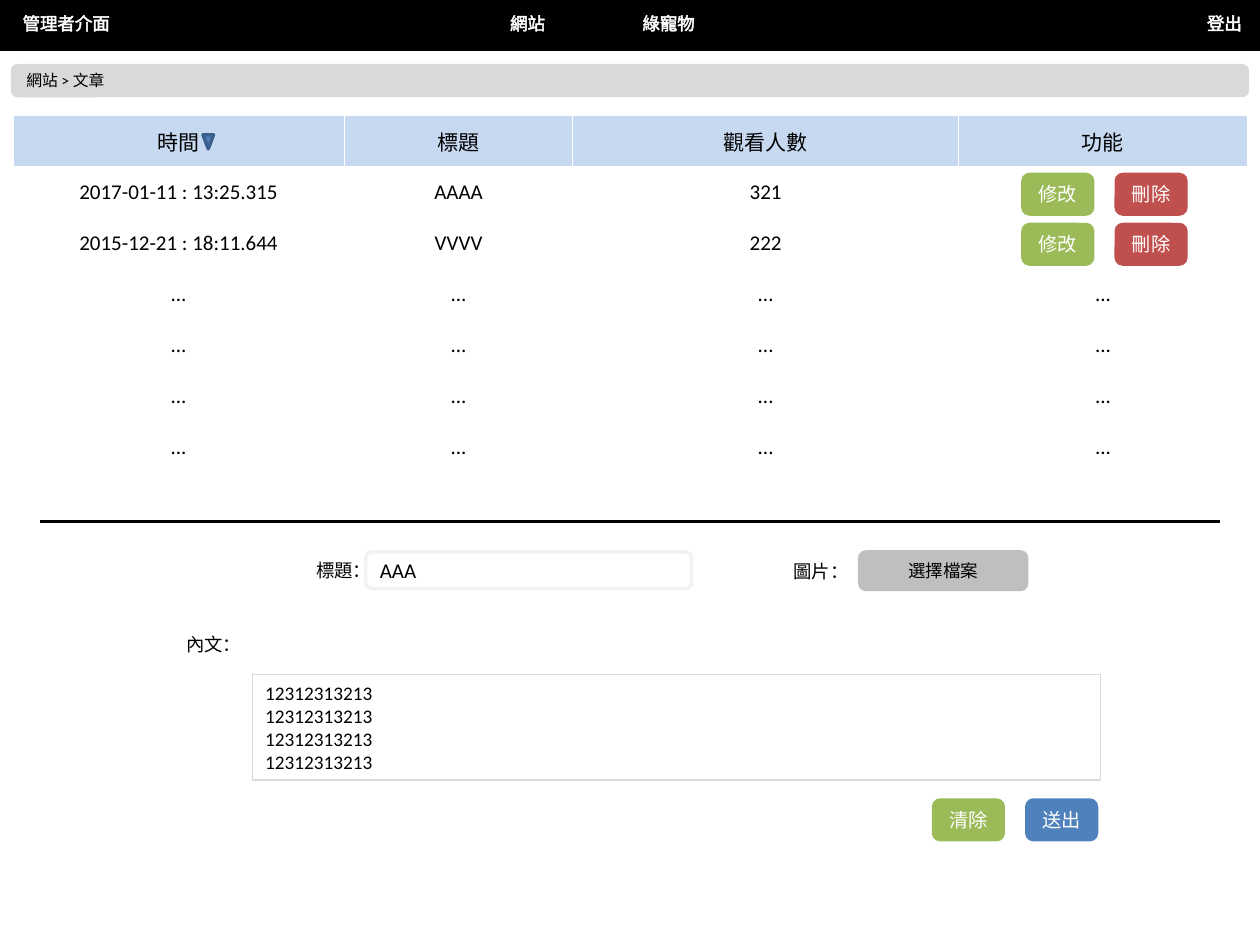
"""Build the article administration page with its list and entry form."""
from lxml import etree
from pptx import Presentation
from pptx.dml.color import RGBColor
from pptx.enum.shapes import MSO_CONNECTOR, MSO_SHAPE
from pptx.enum.text import MSO_ANCHOR, PP_ALIGN
from pptx.oxml.ns import qn
from pptx.util import Pt

RECT, ROUND, TRIANGLE = MSO_SHAPE.RECTANGLE, MSO_SHAPE.ROUNDED_RECTANGLE, MSO_SHAPE.ISOSCELES_TRIANGLE
LEFT, CENTER = PP_ALIGN.LEFT, PP_ALIGN.CENTER
TOP, MIDDLE = MSO_ANCHOR.TOP, MSO_ANCHOR.MIDDLE
THEME = {
    "font": "Calibri", "black": "000000", "white": "FFFFFF", "heading": "C6D9F1",
    "green": "9BBB59", "red": "C0504D", "blue": "4F81BD", "dark blue": "3A5F8C",
    "crumb": "D9D9D9", "file": "BFBFBF", "edge": "F2F2F2",
    "crumb size": 9, "menu size": 10, "label size": 10.5, "button size": 11, "table size": 12,
}


def color(name):
    return RGBColor.from_string(THEME[name])


def write(frame, lines, size, ink="black", align=LEFT, anchor=MIDDLE):
    frame.word_wrap = True
    frame.vertical_anchor = anchor
    for index, line in enumerate(lines):
        para = frame.add_paragraph() if index else frame.paragraphs[0]
        para.alignment = align
        span = para.add_run()
        span.text = line
        span.font.name = THEME["font"]
        span.font.size = Pt(THEME[size])
        span.font.color.rgb = color(ink)


deck = Presentation()
deck.slide_width, deck.slide_height = Pt(720), Pt(540)
page = deck.slides.add_slide(deck.slide_layouts[6])

columns = [189.5, 130.5, 220.5, 165]
rows = [
    ["時間", "標題", "觀看人數", "功能"],
    ["2017-01-11 : 13:25.315", "AAAA", "321", ""],
    ["2015-12-21 : 18:11.644", "VVVV", "222", ""],
] + [["..."] * 4] * 4
table = page.shapes.add_table(len(rows), 4, Pt(7.3), Pt(66), Pt(705.5), Pt(204.4)).table
table.first_row = table.horz_banding = False
for column, width in zip(table.columns, columns):
    column.width = Pt(width)
for row_index, row in enumerate(rows):
    table.rows[row_index].height = Pt(29.2)
    for column_index, text in enumerate(row):
        cell = table.cell(row_index, column_index)
        cell.vertical_anchor = MIDDLE
        if row_index:
            cell.fill.background()
        else:
            cell.fill.solid()
            cell.fill.fore_color.rgb = color("heading")
        if text:
            write(cell.text_frame, [text], "table size", align=CENTER)

divider = page.shapes.add_connector(MSO_CONNECTOR.STRAIGHT, Pt(23), Pt(298), Pt(697), Pt(298))
divider.line.color.rgb = color("black")
divider.line.width = Pt(2.25)
etree.SubElement(divider._element.spPr, qn("a:effectLst"))

labels = [("圖片：", 446.4, 316.8, LEFT), ("內文：", 99.4, 358.4, LEFT), ("標題：", 168.5, 316, CENTER)]
for text, left, top, align in labels:
    box = page.shapes.add_textbox(Pt(left), Pt(top), Pt(45.4), Pt(20))
    write(box.text_frame, [text], "label size", align=align, anchor=TOP)

buttons = [("清除", 533.5, 457.2, "green"), ("送出", 586.8, 457.2, "blue")]
for top in (99.7, 128.3):
    buttons += [("修改", 584.6, top, "green"), ("刪除", 637.9, top, "red")]
shapes = [
    (RECT, 0, 0, 720, 28.1, "black", "black", 2, [], "menu size", "black", LEFT),
    (ROUND, 7.2, 37.6, 705.6, 17, "crumb", "crumb", 2, ["網站 > 文章"], "crumb size", "black", LEFT),
    (ROUND, 491.3, 315.4, 95.4, 21.4, "file", "file", 2, ["選擇檔案"], "menu size", "black", CENTER),
    (RECT, 144.4, 385.3, 484.6, 60.5, "white", "crumb", 0.75, ["12312313213"] * 4, "button size", "black", LEFT),
    (ROUND, 209, 315.4, 186.2, 20.9, "white", "edge", 2, ["AAA"], "table size", "black", LEFT),
    (TRIANGLE, 116, 77, 6, 8, "blue", "dark blue", 2, [], "menu size", "black", CENTER),
] + [
    (ROUND, left, top, 39.8, 22.6, fill, fill, 2, [text], "button size", "white", CENTER)
    for text, left, top, fill in buttons
]
for kind, left, top, width, height, fill, edge, weight, lines, size, ink, align in shapes:
    shape = page.shapes.add_shape(kind, Pt(left), Pt(top), Pt(width), Pt(height))
    shape.shadow.inherit = False
    shape.fill.solid()
    shape.fill.fore_color.rgb = color(fill)
    shape.line.color.rgb = color(edge)
    shape.line.width = Pt(weight)
    if kind == TRIANGLE:
        shape.rotation = 180
    write(shape.text_frame, lines, size, ink, align)

menu = [("管理者介面", 5.8, 65), ("登出", 682.6, 34.6), ("網站", 284.4, 34.6), ("綠寵物", 360, 44.6)]
for text, left, width in menu:
    box = page.shapes.add_textbox(Pt(left), Pt(3.6), Pt(width), Pt(19.4))
    write(box.text_frame, [text], "menu size", "white", anchor=TOP)
    box.text_frame.word_wrap = False
    outline = etree.Element(qn("a:ln"), w=str(Pt(0.75)))
    paint = etree.SubElement(outline, qn("a:solidFill"))
    etree.SubElement(paint, qn("a:srgbClr"), val=THEME["white"])
    box.text_frame.paragraphs[0].runs[0].font._element.insert(0, outline)

deck.save("out.pptx")
